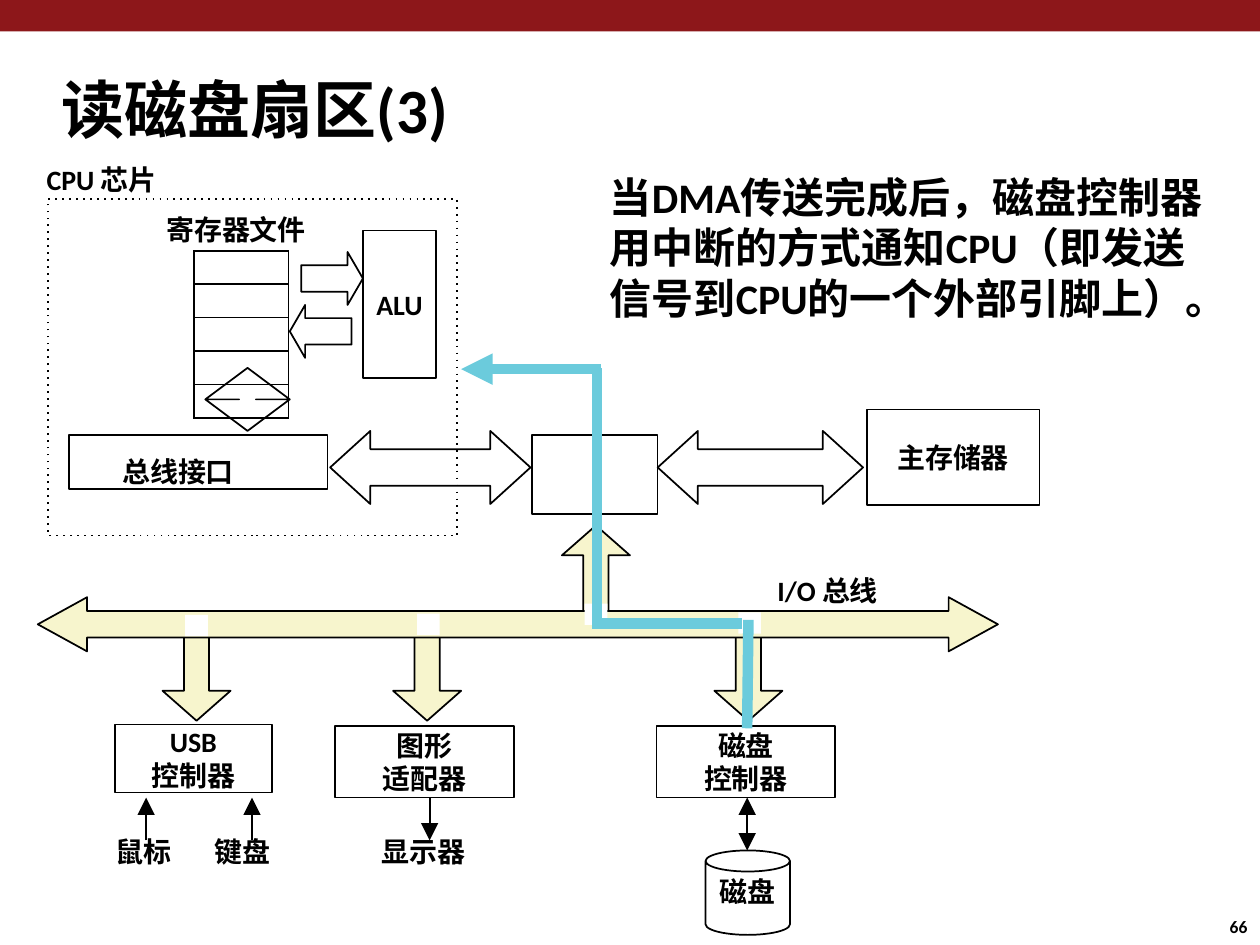
from typing import NamedTuple, Optional

from lxml.etree import SubElement
from pptx import Presentation
from pptx.dml.color import RGBColor
from pptx.enum.shapes import MSO_CONNECTOR, MSO_SHAPE
from pptx.enum.text import MSO_ANCHOR, PP_ALIGN
from pptx.oxml import parse_xml
from pptx.oxml.ns import nsdecls, qn
from pptx.util import Inches, Pt

COLORS = {"band": "8D171A", "ink": "000000", "bus": "F7F5CD", "signal": "6BCBDC", "gap": "FFFFFF"}
FONT = "Calibri"


class Block(NamedTuple):
    kind: MSO_SHAPE
    left: float
    top: float
    width: float
    height: float
    text: str = ""
    fill: Optional[str] = None
    line: Optional[str] = "ink"
    adjust: tuple = ()


class Label(NamedTuple):
    text: str
    left: float
    top: float
    width: float
    height: float = 0.27
    size: int = 16


class Wire(NamedTuple):
    start: tuple
    end: tuple
    color: str = "ink"
    weight: float = 1
    head: Optional[str] = None
    tail: Optional[str] = None


def rgb(name: str) -> RGBColor:
    return RGBColor.from_string(COLORS[name])


def write(frame, text: str, size: int, align, anchor) -> None:
    frame.text = text
    frame.margin_left = frame.margin_right = frame.margin_top = frame.margin_bottom = 0
    frame.vertical_anchor = anchor
    for paragraph in frame.paragraphs:
        paragraph.alignment = align
        for run in paragraph.runs:
            run.font.name = FONT
            run.font.size = Pt(size)
            run.font.bold = True
            run.font.color.rgb = rgb("ink")


def draw_block(slide, block: Block):
    shape = slide.shapes.add_shape(block.kind, *map(Inches, block[1:5]))
    shape.shadow.inherit = False
    for index, value in enumerate(block.adjust):
        shape.adjustments[index] = value
    if block.fill:
        shape.fill.solid()
        shape.fill.fore_color.rgb = rgb(block.fill)
    else:
        shape.fill.background()
    if block.line:
        shape.line.color.rgb = rgb(block.line)
        shape.line.width = Pt(1)
    else:
        shape.line.fill.background()
    if block.text:
        write(shape.text_frame, block.text, 16, PP_ALIGN.CENTER, MSO_ANCHOR.MIDDLE)
    return shape


def draw_label(slide, label: Label) -> None:
    box = slide.shapes.add_textbox(*map(Inches, label[1:5]))
    write(box.text_frame, label.text, label.size, PP_ALIGN.LEFT, MSO_ANCHOR.TOP)
    box.text_frame.word_wrap = label.height > 0.3


def draw_wire(slide, wire: Wire) -> None:
    connector = slide.shapes.add_connector(
        MSO_CONNECTOR.STRAIGHT, *map(Inches, wire.start + wire.end))
    connector.line.color.rgb = rgb(wire.color)
    connector.line.width = Pt(wire.weight)
    outline = connector.line._get_or_add_ln()
    for tag, size in (("a:headEnd", wire.head), ("a:tailEnd", wire.tail)):
        if size:
            SubElement(outline, qn(tag), type="triangle", w=size, len=size)
    SubElement(connector._element.spPr, qn("a:effectLst"))


def draw_registers(slide) -> None:
    table = slide.shapes.add_table(5, 1, *map(Inches, (1.54, 1.99, 0.75, 1.33))).table
    table.first_row = table.horz_banding = False
    for row in table.rows:
        cell = row.cells[0]
        cell.margin_left = cell.margin_right = cell.margin_top = cell.margin_bottom = 0
        cell.fill.background()
        SubElement(cell.text_frame.paragraphs[0]._p, qn("a:endParaRPr"), sz="1000")
        properties = cell._tc.get_or_add_tcPr()
        for index, side in enumerate("LRTB"):
            properties.insert(index, parse_xml(
                f'<a:ln{side} {nsdecls("a")} w="12700"><a:solidFill>'
                f'<a:srgbClr val="{COLORS["ink"]}"/></a:solidFill></a:ln{side}>'))


def main() -> None:
    deck = Presentation()
    deck.slide_width, deck.slide_height = Inches(10), Inches(7.5)
    slide = deck.slides.add_slide(deck.slide_layouts[5])

    title = slide.shapes.title
    title.left, title.top, title.width, title.height = map(Inches, (0.49, 0.56, 3.6, 0.61))
    write(title.text_frame, "读磁盘扇区(3)", 36, PP_ALIGN.LEFT, MSO_ANCHOR.TOP)
    title.text_frame.word_wrap = False

    rect = MSO_SHAPE.RECTANGLE
    draw_block(slide, Block(rect, 0, 0, 10, 0.25, fill="band", line=None))
    draw_registers(slide)

    cpu_frame = draw_block(slide, Block(rect, 0.38, 1.58, 3.25, 2.67))
    SubElement(cpu_frame.line._get_or_add_ln(), qn("a:prstDash"), val="dot")
    bus_interface = draw_block(slide, Block(rect, 0.55, 3.45, 2.05, 0.43, "总线接口"))
    bus_interface.text_frame.vertical_anchor = MSO_ANCHOR.TOP
    bus_interface.text_frame.paragraphs[0].alignment = PP_ALIGN.LEFT
    bus_interface.text_frame.margin_left = Inches(0.42)
    bus_interface.text_frame.margin_top = Inches(0.16)

    double = MSO_SHAPE.LEFT_RIGHT_ARROW
    down_arrows = [
        Block(MSO_SHAPE.DOWN_ARROW, left, 4.97, 0.54, 0.75, fill="bus", adjust=(0.37, 0.44))
        for left in (1.29, 3.12, 5.67)
    ]
    bus_gaps = [
        Block(rect, left, top, 0.18, 0.17, fill="gap", line=None)
        for left, top in ((1.47, 4.88), (3.31, 4.87), (5.86, 4.86), (4.64, 4.79))
    ]
    blocks = [
        Block(rect, 6.88, 3.25, 1.37, 0.76, "主存储器"),
        Block(double, 5.22, 3.42, 1.63, 0.58, adjust=(0.5, 0.55)),
        Block(rect, 4.22, 3.45, 1, 0.63),
        Block(double, 2.62, 3.42, 1.59, 0.58, adjust=(0.5, 0.55)),
        Block(MSO_SHAPE.RIGHT_ARROW, 2.39, 2, 0.49, 0.42, adjust=(0.5, 0.29)),
        Block(MSO_SHAPE.LEFT_ARROW, 2.3, 2.42, 0.49, 0.42, adjust=(0.5, 0.29)),
        Block(rect, 2.88, 1.83, 0.58, 1.17, "ALU"),
        Block(MSO_SHAPE.UP_DOWN_ARROW, 1.63, 2.92, 0.67, 0.5, adjust=(0.5, 0.2)),
        Block(MSO_SHAPE.UP_ARROW, 4.46, 4.17, 0.54, 0.75, fill="bus", adjust=(0.37, 0.44)),
        *down_arrows,
        Block(rect, 0.91, 5.75, 1.25, 0.54, "USB\n控制器"),
        Block(rect, 2.66, 5.76, 1.42, 0.57, "图形\n适配器"),
        Block(rect, 5.21, 5.76, 1.42, 0.57, "磁盘\n控制器"),
        Block(double, 0.3, 4.74, 7.62, 0.43, fill="bus", adjust=(0.49, 0.91)),
        *bus_gaps,
    ]
    for block in blocks:
        draw_block(slide, block)
    disk = draw_block(slide, Block(MSO_SHAPE.CAN, 5.6, 6.75, 0.67, 0.67, "磁盘", adjust=(0.25,)))
    disk.text_frame.margin_bottom = Inches(0.11)

    wires = [
        Wire((1.16, 6.67), (1.16, 6.33), tail="lg"),
        Wire((2, 6.67), (2, 6.33), tail="lg"),
        Wire((3.41, 6.33), (3.41, 6.67), tail="lg"),
        Wire((5.93, 6.33), (5.93, 6.75), head="lg", tail="lg"),
        Wire((5.93, 5.78), (5.94, 4.92), "signal", 6),
        Wire((5.89, 4.95), (4.7, 4.95), "signal", 6),
        Wire((4.74, 4.92), (4.74, 2.92), "signal", 6),
        Wire((4.77, 2.93), (3.66, 2.93), "signal", 6, tail="med"),
    ]
    for wire in wires:
        draw_wire(slide, wire)

    labels = [
        Label("CPU 芯片", 0.37, 1.29, 1.06),
        Label("寄存器文件", 1.32, 1.69, 1.23),
        Label("I/O 总线", 6.17, 4.55, 0.92),
        Label("鼠标", 0.92, 6.62, 0.5),
        Label("键盘", 1.7, 6.62, 0.5),
        Label("显示器", 3.03, 6.62, 0.79),
        Label("66", 9.76, 7.27, 0.2, 0.17, 10),
        Label("当DMA传送完成后，磁盘控制器用中断的方式通知CPU（即发送信号到CPU的一个外部引脚上）。",
              4.84, 1.36, 4.81, 1.21, 24),
    ]
    for label in labels:
        draw_label(slide, label)

    deck.save("out.pptx")


if __name__ == "__main__":
    main()
